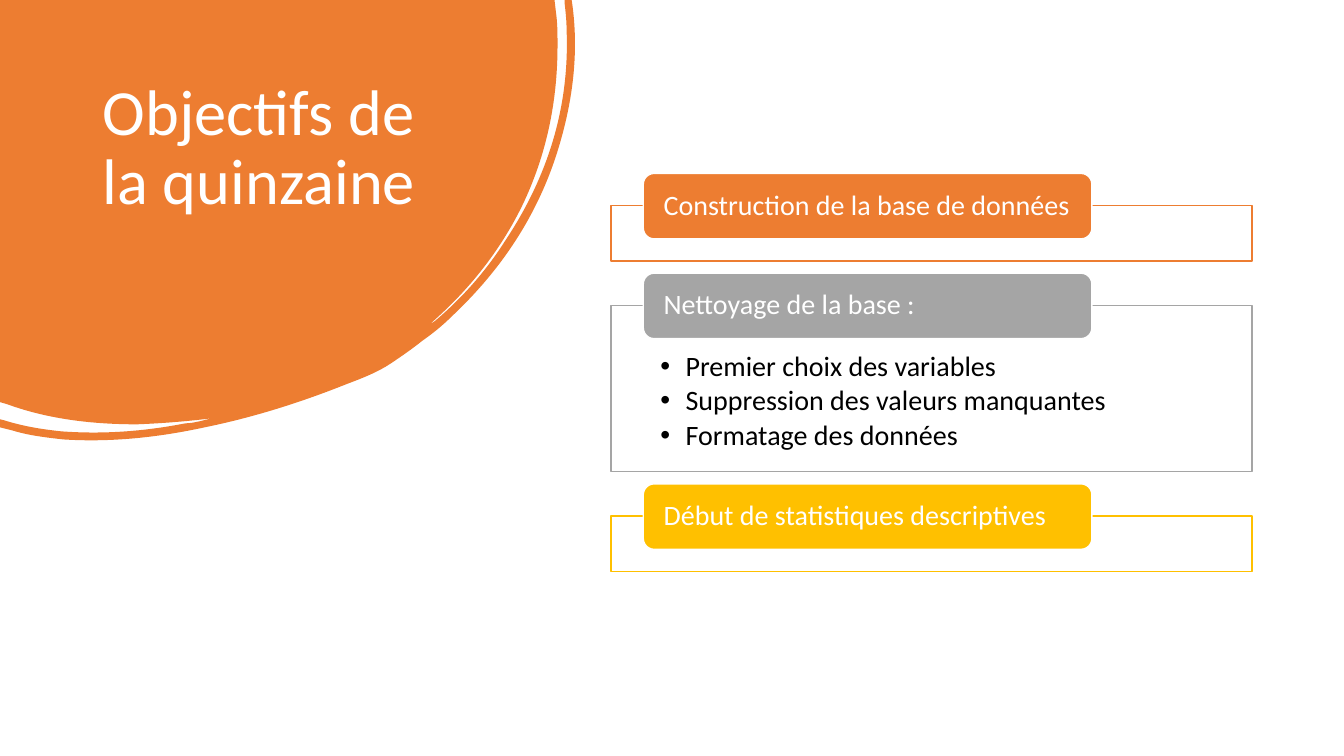
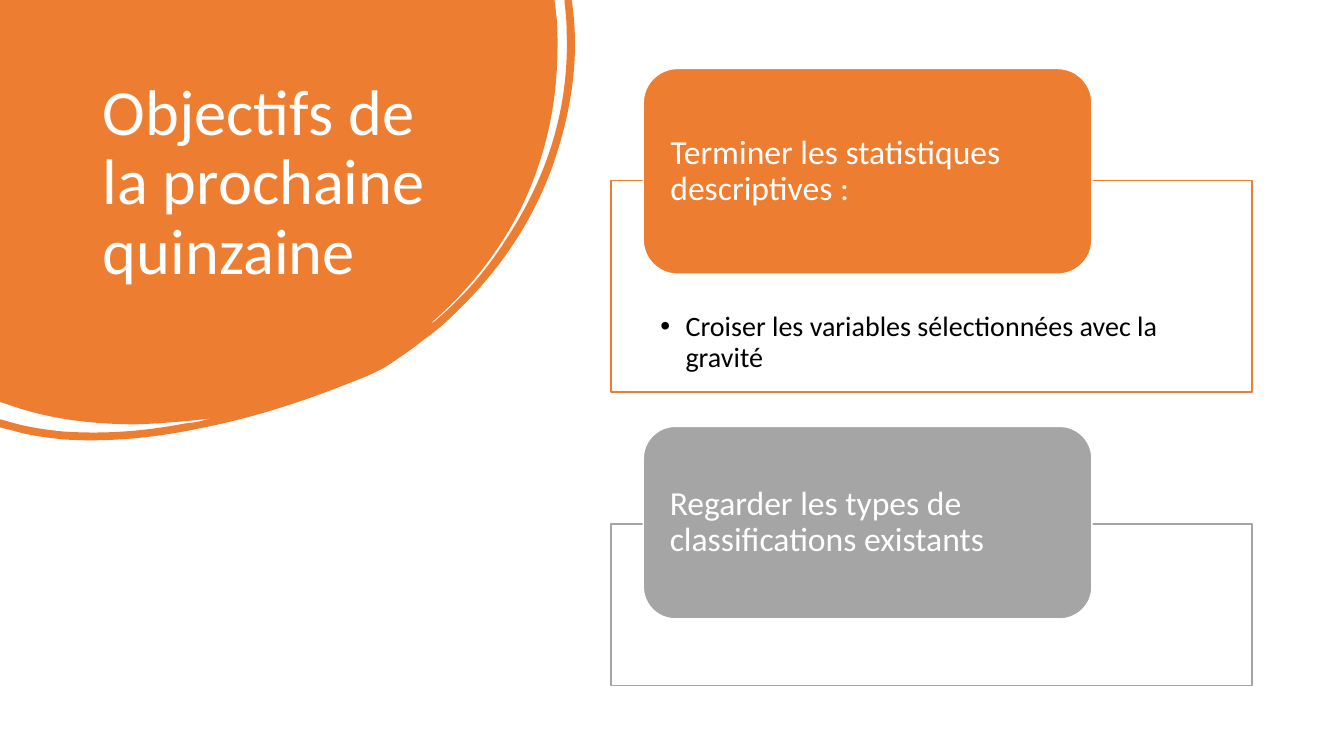
from lxml import etree
from pptx import Presentation
from pptx.dml.color import RGBColor
from pptx.enum import shapes, text
from pptx.oxml import ns
from pptx.util import Emu, Inches, Pt

ORANGE = RGBColor(0xED, 0x7D, 0x31)
GREY = RGBColor(0xA5, 0xA5, 0xA5)
GOLD = RGBColor(0xFF, 0xC0, 0x00)
WHITE = RGBColor(0xFF, 0xFF, 0xFF)
BLACK = RGBColor(0, 0, 0)
FONT = "Calibri"
LINE_SPACING = 0.9

# Each section: label, colour, label height, drop from label top to frame top,
# frame height, bullets. Lengths are in inches.
SLIDES = [
    {
        "title": "Objectifs de la quinzaine",
        "top": 1.72, "gap": 0.12, "label_size": 20,
        "sections": [
            ("Construction de la base de données", ORANGE, 0.65, 0.32, 0.55, []),
            ("Nettoyage de la base :", GREY, 0.65, 0.32, 1.65,
             ["Premier choix des variables",
              "Suppression des valeurs manquantes",
              "Formatage des données"]),
            ("Début de statistiques descriptives", GOLD, 0.65, 0.32, 0.55, []),
        ],
    },
    {
        "title": "Objectifs de la prochaine quinzaine",
        "top": 0.68, "gap": 0.34, "label_size": 24,
        "sections": [
            ("Terminer les statistiques descriptives :", ORANGE, 2.04, 1.11, 2.1,
             ["Croiser les variables sélectionnées avec la gravité"]),
            ("Regarder les types de classifications existants", GREY, 1.91, 0.97, 1.6, []),
        ],
    },
]

FRAME_LEFT, FRAME_WIDTH = 6.06, 6.36
LABEL_LEFT, LABEL_WIDTH = 6.38, 4.45
BULLET_SIZE = 20

# Outline of the corner blob: a pair is a line end, six numbers are a Bézier curve.
BLOB_SIZE = (5.71, 4.37)
BLOB = [
    (0, 0), (5.5, 0), (5.52, 0.17),
    (5.53, 0.26, 5.53, 0.36, 5.53, 0.45), (5.53, 1.01, 5.42, 1.54, 5.18, 2.04),
    (4.96, 2.49, 4.65, 2.88, 4.27, 3.21), (4.29, 3.21, 4.3, 3.19, 4.32, 3.18),
    (4.59, 2.95, 4.82, 2.69, 5.01, 2.39), (5.43, 1.76, 5.65, 1.07, 5.62, 0.3),
    (5.62, 0.21, 5.61, 0.12, 5.6, 0.03), (5.6, 0), (5.67, 0), (5.68, 0.07),
    (5.74, 0.54, 5.68, 1.02, 5.53, 1.5), (5.33, 2.14, 4.97, 2.68, 4.48, 3.14),
    (4.39, 3.23, 4.29, 3.31, 4.19, 3.38), (4.09, 3.46, 3.99, 3.53, 3.87, 3.61),
    (3.75, 3.69, 3.6, 3.75, 3.44, 3.81), (2.99, 3.99, 2.52, 4.14, 2.03, 4.24),
    (1.57, 4.34, 1.1, 4.39, 0.63, 4.36), (0.45, 4.34, 0.28, 4.32, 0.12, 4.27),
    (0, 4.24), (0, 4.16), (0.04, 4.17),
    (0.23, 4.23, 0.42, 4.26, 0.61, 4.28), (1.03, 4.31, 1.43, 4.28, 1.84, 4.2),
    (1.89, 4.2, 1.93, 4.19, 1.98, 4.18), (2.02, 4.17, 2.06, 4.16, 2.1, 4.15),
    (1.86, 4.18, 1.61, 4.2, 1.36, 4.21), (0.92, 4.21, 0.48, 4.16, 0.07, 4.01),
    (0, 3.99),
]


def style_shape(shape, fill, line=None):
    shape.shadow.inherit = False
    shape.fill.solid()
    shape.fill.fore_color.rgb = fill
    if line is None:
        shape.line.fill.background()
    else:
        shape.line.color.rgb = line
        shape.line.width = Pt(1)


def set_opacity(shape, percent):
    color = shape.element.spPr.find(ns.qn("a:solidFill"))[0]
    etree.SubElement(color, ns.qn("a:alpha"), val=str(percent * 1000))


def set_up_frame(shape, anchor, left, top, right, bottom):
    frame = shape.text_frame
    frame.word_wrap = True
    frame.auto_size = text.MSO_AUTO_SIZE.NONE
    frame.vertical_anchor = anchor
    frame.margin_left, frame.margin_top = Inches(left), Inches(top)
    frame.margin_right, frame.margin_bottom = Inches(right), Inches(bottom)
    return frame


def write(paragraph, words, size, color):
    paragraph.alignment = text.PP_ALIGN.LEFT
    paragraph.line_spacing = LINE_SPACING
    run = paragraph.add_run()
    run.text = words
    run.font.name, run.font.size = FONT, Pt(size)
    run.font.color.rgb = color


def add_bullet(paragraph):
    properties = paragraph._p.get_or_add_pPr()
    properties.set("marL", str(Inches(0.25)))
    properties.set("indent", str(-Inches(0.25)))
    etree.SubElement(properties, ns.qn("a:buFont"), typeface="Arial")
    etree.SubElement(properties, ns.qn("a:buChar"), char="•")


def add_box(slide, preset, left, top, width, height):
    return slide.shapes.add_shape(preset, *map(Inches, (left, top, width, height)))


def add_blob(slide):
    """Build the outline from its end points, then bend the curved parts."""
    start, *ends = [(Inches(part[-2]), Inches(part[-1])) for part in BLOB]
    builder = slide.shapes.build_freeform(*start, scale=1.0)
    builder.add_line_segments(ends, close=True)
    blob = builder.convert_to_shape(Emu(0), Emu(0))
    blob.width, blob.height = map(Inches, BLOB_SIZE)
    outline = next(blob.element.iter(ns.qn("a:path")))
    outline.set("w", str(blob.width))
    outline.set("h", str(blob.height))
    for segment, part in zip(list(outline), BLOB):
        if len(part) == 6:
            curve = etree.Element(ns.qn("a:cubicBezTo"))
            for x, y in zip(part[::2], part[1::2]):
                etree.SubElement(curve, ns.qn("a:pt"), x=str(Inches(x)), y=str(Inches(y)))
            outline.replace(segment, curve)
    style_shape(blob, ORANGE)
    return blob


def add_title(slide, words):
    """Fill the title and put the corner blob behind it."""
    title = slide.shapes.title
    title.left, title.top, title.width, title.height = map(Inches, (0.92, 0.74, 3.52, 2.22))
    frame = set_up_frame(title, text.MSO_ANCHOR.TOP, 0.1, 0.05, 0.1, 0.05)
    write(frame.paragraphs[0], words, 46, WHITE)
    title.element.addprevious(add_blob(slide).element)


def add_section(slide, top, section, label_size):
    """Draw one framed section and return its bottom edge."""
    label_text, color, label_height, drop, frame_height, bullets = section
    frame_top = top + drop
    box = add_box(slide, shapes.MSO_SHAPE.RECTANGLE,
                  FRAME_LEFT, frame_top, FRAME_WIDTH, frame_height)
    style_shape(box, WHITE, color)
    set_opacity(box, 90)
    if bullets:
        overlap = label_height - drop
        frame = set_up_frame(box, text.MSO_ANCHOR.TOP, 0.49, overlap * 1.41, 0.49, 0.16)
        for index, words in enumerate(bullets):
            paragraph = frame.add_paragraph() if index else frame.paragraphs[0]
            write(paragraph, words, BULLET_SIZE, BLACK)
            paragraph.space_after = Pt(BULLET_SIZE * 0.15)
            add_bullet(paragraph)

    label = add_box(slide, shapes.MSO_SHAPE.ROUNDED_RECTANGLE,
                    LABEL_LEFT, top, LABEL_WIDTH, label_height)
    style_shape(label, color, WHITE)
    frame = set_up_frame(label, text.MSO_ANCHOR.MIDDLE, 0.17, 0, 0.17, 0)
    write(frame.paragraphs[0], label_text, label_size, WHITE)
    return frame_top + frame_height


def main():
    presentation = Presentation()
    presentation.slide_width, presentation.slide_height = Inches(13.33), Inches(7.5)
    title_only = presentation.slide_layouts.get_by_name("Title Only")
    for content in SLIDES:
        slide = presentation.slides.add_slide(title_only)
        add_title(slide, content["title"])
        top = content["top"]
        for section in content["sections"]:
            top = add_section(slide, top, section, content["label_size"]) + content["gap"]
    presentation.save("out.pptx")


if __name__ == "__main__":
    main()
